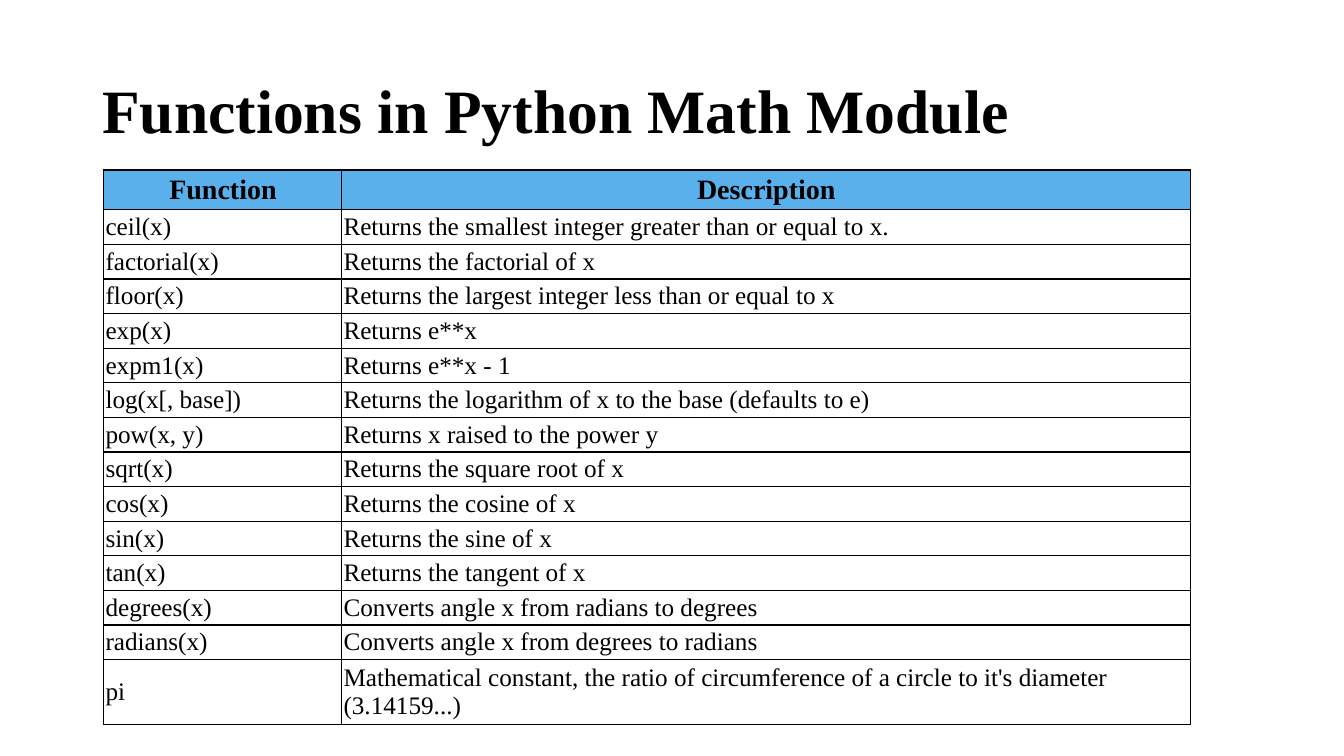
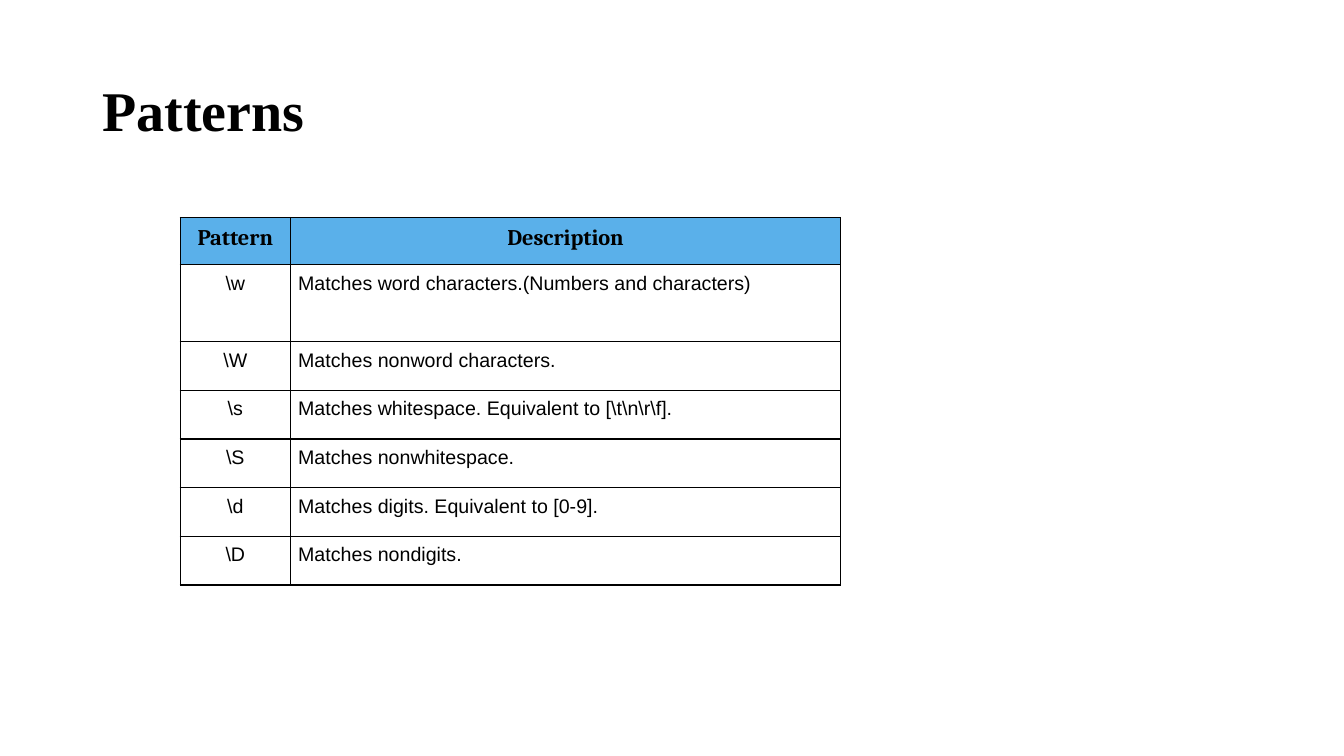
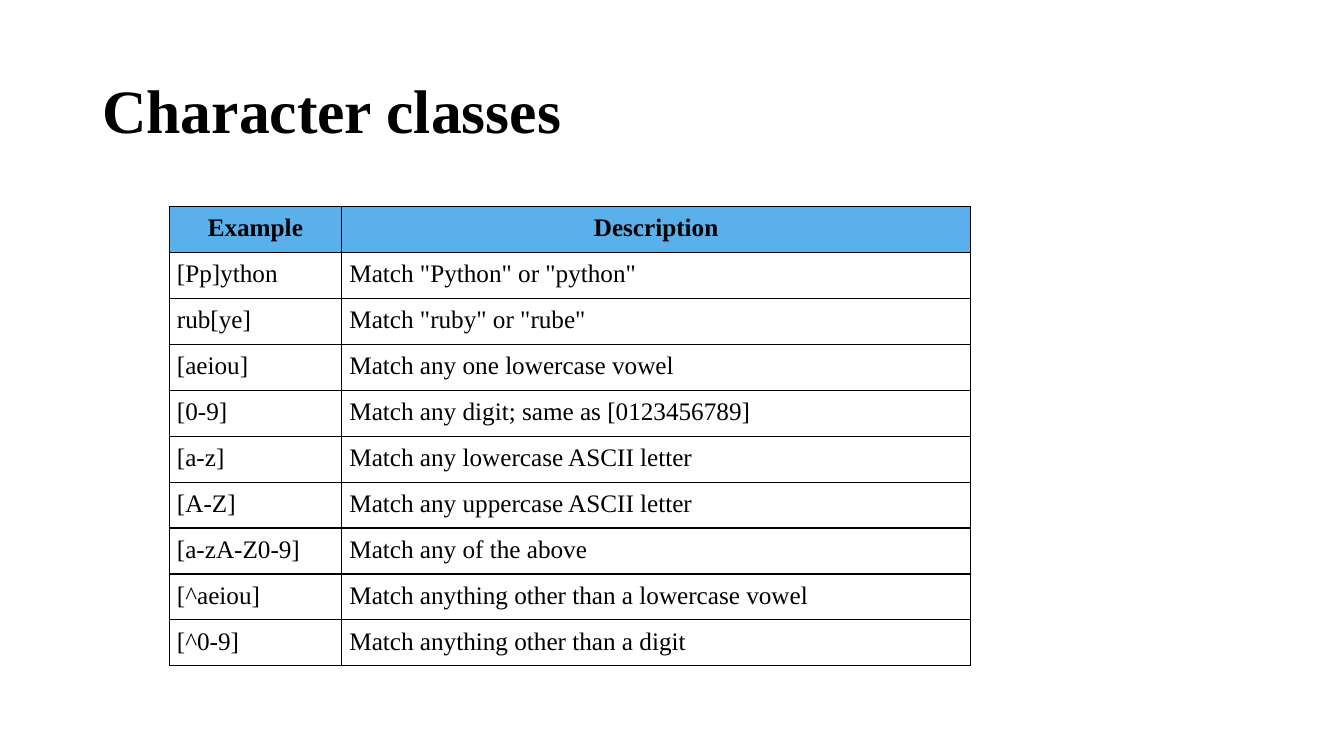
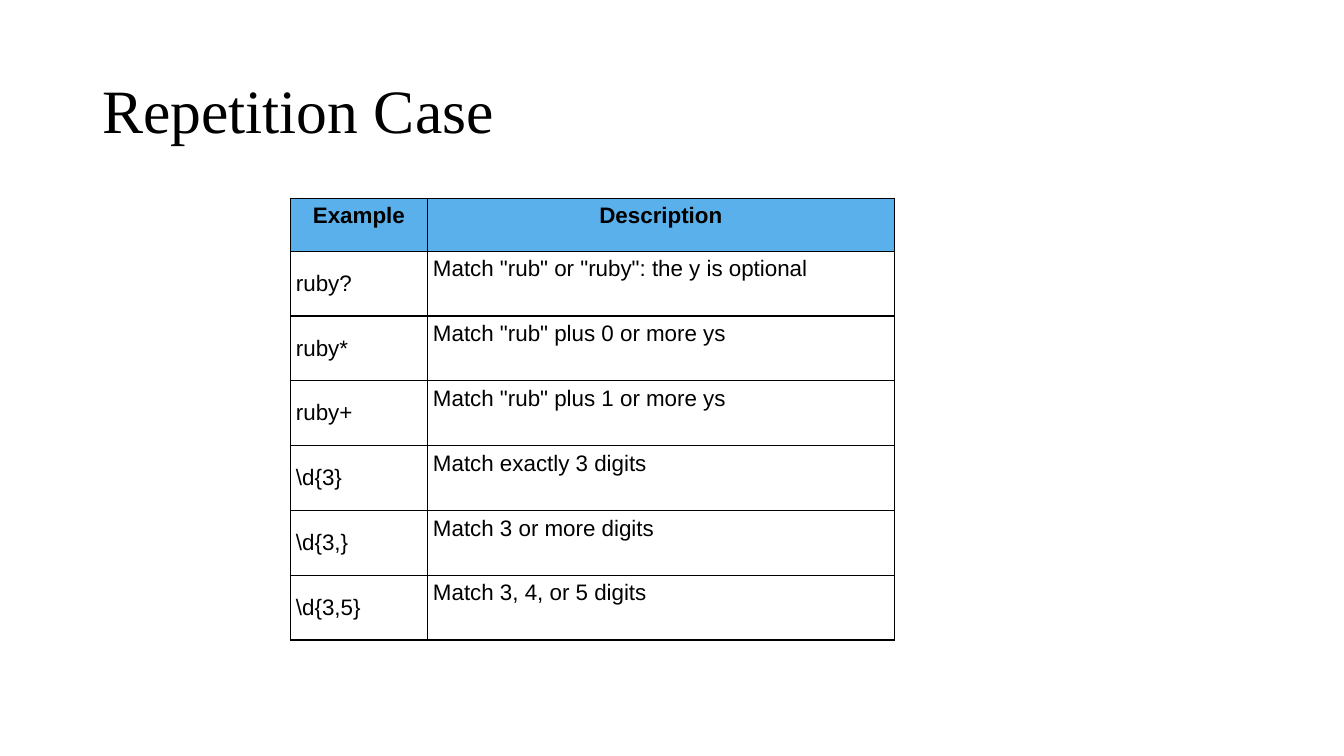
"""Build four slides of Python function and pattern reference tables."""
import pptx
import pptx.dml.color
import pptx.enum.text
import pptx.oxml
import pptx.oxml.ns
import pptx.util

Pt = pptx.util.Pt
ALIGN = pptx.enum.text.PP_ALIGN
ANCHOR = pptx.enum.text.MSO_ANCHOR

COLORS = {"ink": "000000", "header": "5AB0EA"}
SERIF = "Times New Roman"
SANS = "Arial"

MATH_FUNCTIONS = [
    ("Function", "Description"),
    ("ceil(x)", "Returns the smallest integer greater than or equal to x."),
    ("factorial(x)", "Returns the factorial of x"),
    ("floor(x)", "Returns the largest integer less than or equal to x"),
    ("exp(x)", "Returns e**x"),
    ("expm1(x)", "Returns e**x - 1"),
    ("log(x[, base])", "Returns the logarithm of x to the base (defaults to e)"),
    ("pow(x, y)", "Returns x raised to the power y"),
    ("sqrt(x)", "Returns the square root of x"),
    ("cos(x)", "Returns the cosine of x"),
    ("sin(x)", "Returns the sine of x"),
    ("tan(x)", "Returns the tangent of x"),
    ("degrees(x)", "Converts angle x from radians to degrees"),
    ("radians(x)", "Converts angle x from degrees to radians"),
    ("pi", "Mathematical constant, the ratio of circumference of a circle "
           "to it's diameter (3.14159...)"),
]
PATTERNS = [
    ("Pattern", "Description"),
    (r"\w", "Matches word characters.(Numbers and characters)"),
    (r"\W", "Matches nonword characters."),
    (r"\s", r"Matches whitespace. Equivalent to [\t\n\r\f]."),
    (r"\S", "Matches nonwhitespace."),
    (r"\d", "Matches digits. Equivalent to [0-9]."),
    (r"\D", "Matches nondigits."),
]
CHARACTER_CLASSES = [
    ("Example", "Description"),
    ("[Pp]ython", 'Match "Python" or "python"'),
    ("rub[ye]", 'Match "ruby" or "rube"'),
    ("[aeiou]", "Match any one lowercase vowel"),
    ("[0-9]", "Match any digit; same as [0123456789]"),
    ("[a-z]", "Match any lowercase ASCII letter"),
    ("[A-Z]", "Match any uppercase ASCII letter"),
    ("[a-zA-Z0-9]", "Match any of the above"),
    ("[^aeiou]", "Match anything other than a lowercase vowel"),
    ("[^0-9]", "Match anything other than a digit"),
]
REPETITIONS = [
    ("Example", "Description"),
    ("ruby?", 'Match "rub" or "ruby": the y is optional'),
    ("ruby*", 'Match "rub" plus 0 or more ys'),
    ("ruby+", 'Match "rub" plus 1 or more ys'),
    (r"\d{3}", "Match exactly 3 digits"),
    (r"\d{3,}", "Match 3 or more digits"),
    (r"\d{3,5}", "Match 3, 4, or 5 digits"),
]


def write(frame, text, font=SERIF, size=18, bold=False, align=ALIGN.LEFT,
          space_after=0, line_spacing=1.0):
    paragraph = frame.paragraphs[0]
    paragraph.alignment = align
    paragraph.space_after = Pt(space_after)
    paragraph.line_spacing = line_spacing
    run = paragraph.add_run()
    run.text = text
    run.font.name = font
    run.font.size = Pt(size)
    run.font.bold = bold
    run.font.color.rgb = pptx.dml.color.RGBColor.from_string(COLORS["ink"])


def add_titled_slide(deck, title, size=44, bold=True):
    slide = deck.slides.add_slide(deck.slide_layouts[6])
    frame = slide.shapes.add_textbox(Pt(66), Pt(28.8), Pt(828), Pt(104.4)).text_frame
    frame.word_wrap = True
    frame.vertical_anchor = ANCHOR.MIDDLE
    write(frame, title, size=size, bold=bold, line_spacing=0.9)
    return slide


def outline(cell):
    properties = cell._tc.get_or_add_tcPr()
    for side in ("lnL", "lnR", "lnT", "lnB"):
        properties.append(pptx.oxml.parse_xml(
            f'<a:{side} {pptx.oxml.ns.nsdecls("a")} w="{Pt(1)}"><a:solidFill>'
            f'<a:srgbClr val="{COLORS["ink"]}"/></a:solidFill></a:{side}>'))


def add_reference(slide, entries, left, top, widths, heights, insets, font, sizes,
                  aligns=(ALIGN.LEFT, ALIGN.LEFT),
                  anchors=(ANCHOR.TOP, ANCHOR.TOP),
                  header_anchor=ANCHOR.TOP, header_font=None, space_after=0):
    reference = slide.shapes.add_table(
        len(entries), len(widths), Pt(left), Pt(top),
        Pt(sum(widths)), Pt(sum(heights))).table
    reference.first_row = reference.horz_banding = False
    for column, width in zip(reference.columns, widths):
        column.width = Pt(width)
    for row_index, (entry, height) in enumerate(zip(entries, heights)):
        reference.rows[row_index].height = Pt(height)
        is_header = row_index == 0
        for column_index, text in enumerate(entry):
            cell = reference.cell(row_index, column_index)
            (cell.margin_left, cell.margin_top,
             cell.margin_right, cell.margin_bottom) = map(Pt, insets)
            cell.vertical_anchor = header_anchor if is_header else anchors[column_index]
            outline(cell)
            if is_header:
                cell.fill.solid()
                cell.fill.fore_color.rgb = pptx.dml.color.RGBColor.from_string(
                    COLORS["header"])
            else:
                cell.fill.background()
            write(cell.text_frame, text,
                  font=header_font if is_header and header_font else font,
                  size=sizes[0] if is_header else sizes[1], bold=is_header,
                  align=ALIGN.CENTER if is_header else aligns[column_index],
                  space_after=space_after)


def main():
    deck = pptx.Presentation()
    deck.slide_width, deck.slide_height = Pt(960), Pt(540)

    add_reference(
        add_titled_slide(deck, "Functions in Python Math Module"), MATH_FUNCTIONS,
        left=74, top=121.5, widths=(170, 606.2),
        heights=[28.3] + [24.72] * 13 + [46.5], insets=(1.4, 1.6, 0.8, 1.4),
        font=SERIF, sizes=(20, 18), anchors=(ANCHOR.MIDDLE, ANCHOR.MIDDLE),
        header_anchor=ANCHOR.MIDDLE)
    add_reference(
        add_titled_slide(deck, "Patterns", size=40), PATTERNS,
        left=128.8, top=155.4, widths=(78.6, 393.2),
        heights=[33.6, 55] + [34.8] * 5, insets=[5.6] * 4,
        font=SANS, sizes=(16, 14), aligns=(ALIGN.CENTER, ALIGN.LEFT),
        header_font="Cambria", space_after=15)
    add_reference(
        add_titled_slide(deck, "Character classes"), CHARACTER_CLASSES,
        left=120.8, top=147.6, widths=(123.2, 449.3),
        heights=[31.9] * 10, insets=[5.6] * 4,
        font=SERIF, sizes=(18, 18), space_after=15)
    add_reference(
        add_titled_slide(deck, "Repetition Case", bold=False), REPETITIONS,
        left=207.4, top=141.6, widths=(97.9, 333.5),
        heights=[37.8] + [46.3] * 6, insets=[4] * 4,
        font=SANS, sizes=(16, 16), aligns=(ALIGN.JUSTIFY, ALIGN.JUSTIFY),
        anchors=(ANCHOR.MIDDLE, ANCHOR.TOP))

    deck.save("out.pptx")


if __name__ == "__main__":
    main()
